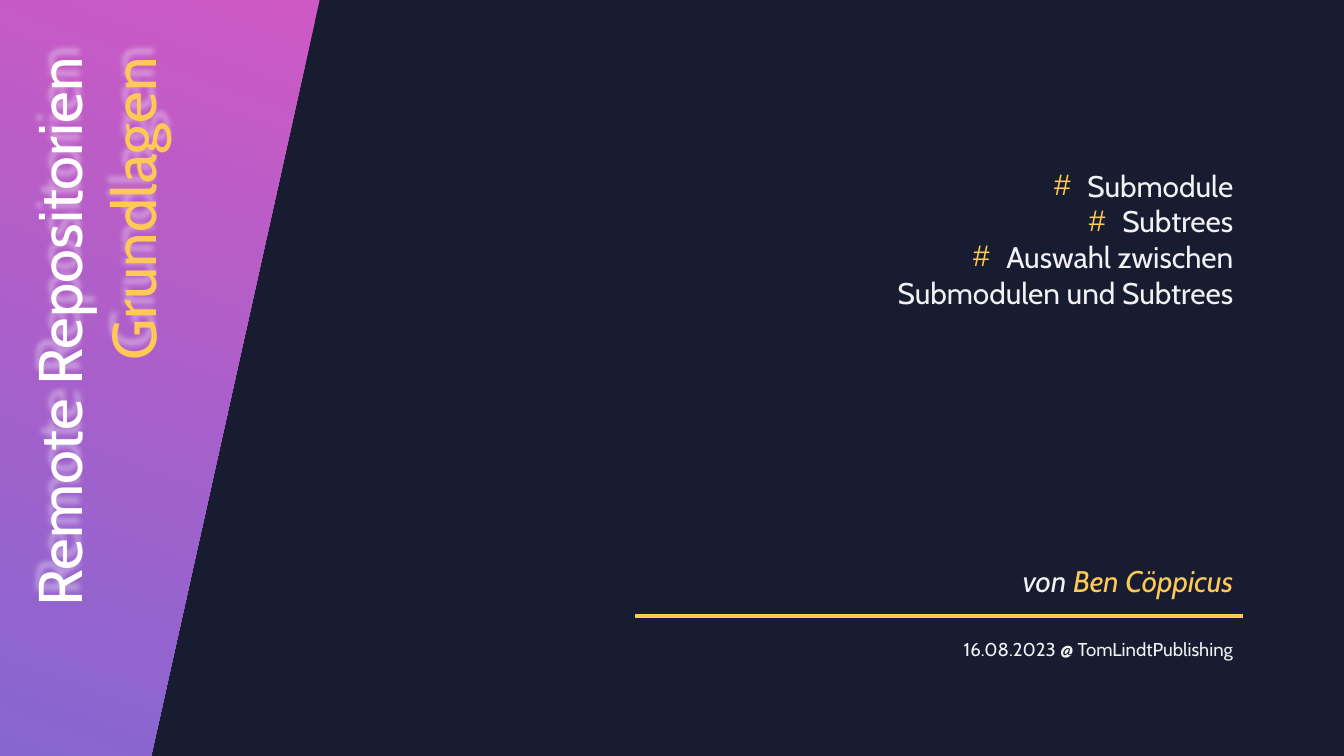
"""Build the title slide for a talk on remote repositories."""
import dataclasses

import lxml.etree
import pptx
import pptx.dml.color
import pptx.enum.dml
import pptx.enum.text
import pptx.oxml
import pptx.oxml.ns
import pptx.util


@dataclasses.dataclass(frozen=True)
class Theme:
    font: str = "Cabin"
    night: str = "171C30"
    pink: str = "CE59C4"
    violet: str = "8766D0"
    gold: str = "FFC955"
    white: str = "FFFFFF"
    pale: str = "F2F2F5"
    title: float = 44
    body: float = 21.3
    small: float = 13.3
    rule: float = 3


T = Theme()
TITLE = [[("Remote Repositorien", T.white)], [("Grundlagen", T.gold)]]
TOPICS = [[(topic, T.pale)] for topic in
          ("Submodule", "Subtrees", "Auswahl zwischen Submodulen und Subtrees")]
AUTHOR = [[("von ", T.pale), ("Ben Cöppicus", T.gold)]]
IMPRINT = [[("16.08.2023 @ TomLindtPublishing", T.pale)]]

W, H = pptx.util.Inches(13.33), pptx.util.Inches(7.5)
RIGHT = 92.5
RULE_LEFT, RULE_Y = 47.26, 81.47
BAND = [(0, 0), (23.78, 0), (11.25, 100), (0, 100)]
TITLE_BOX = (-17.48, 39.47, 49.21, 21.07)
TOPICS_BOX = (21.47, 31.28, 20.53)
AUTHOR_BOX = (73.73, 33.31, 6.13)
IMPRINT_BOX = (83.73, 37.96, 4.4)


def x(share):
    return round(W * share / 100)


def y(share):
    return round(H * share / 100)


def rgb(value):
    return pptx.dml.color.RGBColor.from_string(value)


def add_xml(parent, xml):
    ns = pptx.oxml.ns.nsdecls("a")
    tag, rest = xml.split(" ", 1)
    parent.append(pptx.oxml.parse_xml(f"{tag} {ns} {rest}"))


def write(sp, lines, size, italic=None):
    tf = sp.text_frame
    tf.word_wrap = True
    tf.auto_size = pptx.enum.text.MSO_AUTO_SIZE.SHAPE_TO_FIT_TEXT
    tf.vertical_anchor = pptx.enum.text.MSO_ANCHOR.TOP
    tf.text = "\n".join("" for _ in lines)
    for p, runs in zip(tf.paragraphs, lines):
        p.alignment = pptx.enum.text.PP_ALIGN.RIGHT
        p.line_spacing = 1.0
        p.space_before = pptx.util.Pt(0)
        for text, color in runs:
            r = p.add_run()
            r.text = text
            r.font.name = T.font
            r.font.size = pptx.util.Pt(size)
            r.font.italic = italic
            r.font.color.rgb = rgb(color)


def add_text(s, box, lines, size, italic=None):
    top, width, height = box
    sp = s.shapes.add_textbox(x(RIGHT - width), y(top), x(width), y(height))
    write(sp, lines, size, italic)
    return sp


def add_band(s):
    points = [(x(px), y(py)) for px, py in BAND]
    builder = s.shapes.build_freeform(*points[0])
    builder.add_line_segments(points[1:], close=True)
    sp = builder.convert_to_shape()
    sp.shadow.inherit = False
    sp.line.fill.background()
    sp.fill.gradient()
    sp.fill.gradient_angle = 250
    for stop, color in zip(sp.fill.gradient_stops, (T.pink, T.violet)):
        stop.color.rgb = rgb(color)


def add_title(s):
    sp = s.shapes.title
    left, top, width, height = TITLE_BOX
    sp.left, sp.top, sp.width, sp.height = x(left), y(top), x(width), y(height)
    sp.rotation = 270
    write(sp, TITLE, T.title)
    sp.fill.background()
    add_xml(sp.element.spPr,
            '<a:effectLst ><a:outerShdw blurRad="50800" dist="114300" '
            'dir="15300000" algn="ctr" rotWithShape="0"><a:srgbClr '
            f'val="{T.white}"><a:alpha val="40000"/></a:srgbClr>'
            '</a:outerShdw></a:effectLst>')
    tree = s.shapes.element
    tree.remove(sp.element)
    tree.append(sp.element)


def add_topics(s):
    sp = add_text(s, TOPICS_BOX, TOPICS, T.body)
    indent = pptx.util.Inches(0.33)
    for p in sp.text_frame.paragraphs:
        pPr = p._p.get_or_add_pPr()
        pPr.set("marL", str(indent))
        pPr.set("indent", str(-indent))
        add_xml(pPr, f'<a:buClr ><a:srgbClr val="{T.gold}"/></a:buClr>')
        add_xml(pPr, '<a:buFont typeface="Arial"/>')
        add_xml(pPr, '<a:buChar char="#"/>')


def add_rule(s):
    line = s.shapes.add_connector(pptx.enum.shapes.MSO_CONNECTOR.STRAIGHT,
                                  x(RULE_LEFT), y(RULE_Y), x(RIGHT), y(RULE_Y))
    line.line.color.rgb = rgb(T.gold)
    line.line.width = pptx.util.Pt(T.rule)
    lxml.etree.SubElement(line.element.spPr, pptx.oxml.ns.qn("a:effectLst"))


def main():
    prs = pptx.Presentation()
    prs.slide_width, prs.slide_height = W, H
    s = prs.slides.add_slide(prs.slide_layouts[5])
    s.background.fill.solid()
    s.background.fill.fore_color.rgb = rgb(T.night)
    add_band(s)
    add_title(s)
    add_topics(s)
    add_rule(s)
    add_text(s, AUTHOR_BOX, AUTHOR, T.body, italic=True)
    add_text(s, IMPRINT_BOX, IMPRINT, T.small)
    prs.save("out.pptx")


if __name__ == "__main__":
    main()
